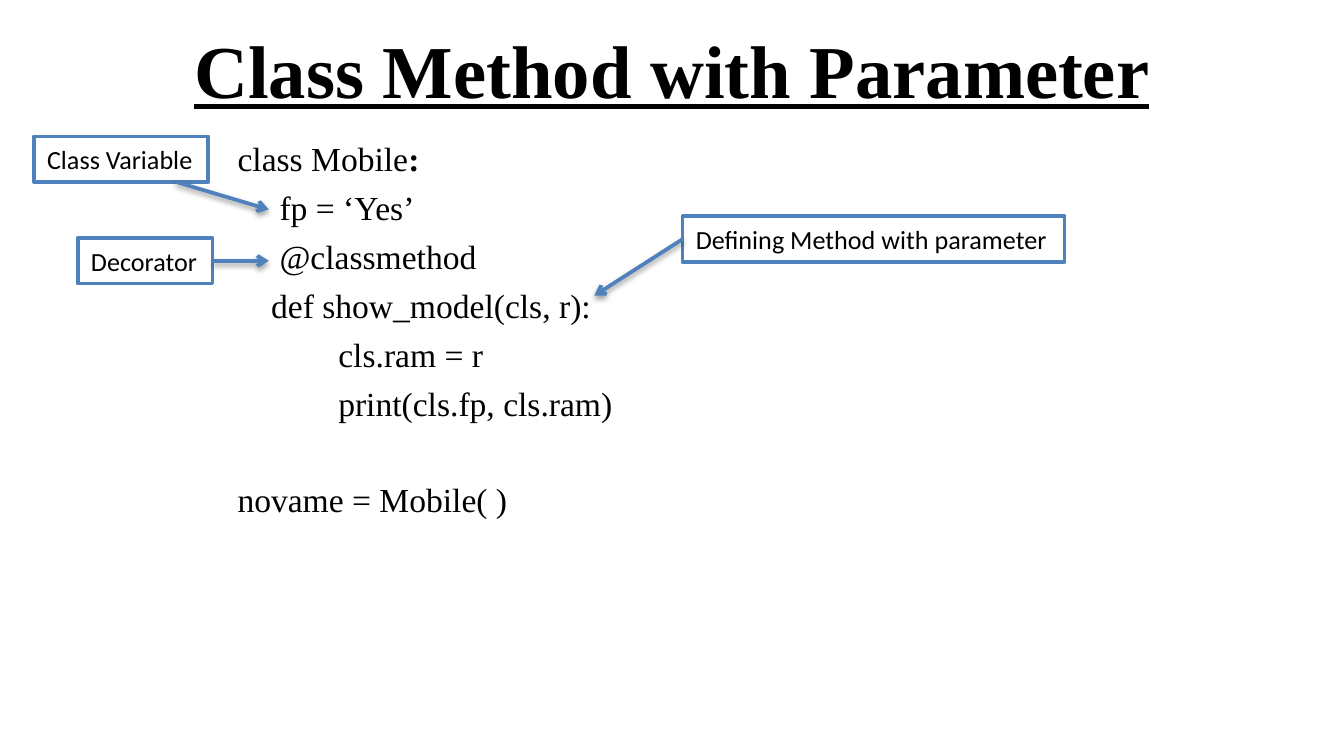
from lxml.etree import SubElement
from pptx import Presentation
from pptx.dml.color import RGBColor
from pptx.enum.shapes import MSO_CONNECTOR, MSO_SHAPE
from pptx.enum.text import MSO_ANCHOR, PP_ALIGN
from pptx.oxml import parse_xml
from pptx.oxml.ns import qn
from pptx.util import Cm, Pt

THEME = {
    "ink": RGBColor.from_string("000000"),
    "paper": RGBColor.from_string("FFFFFF"),
    "accent": RGBColor.from_string("4F81BD"),
    "line": Pt(2),
    "title": {"name": "Times New Roman", "size": Pt(40), "bold": True, "underline": True},
    "code": {"name": "Times New Roman", "size": Pt(18)},
    "label": {"name": "Calibri", "size": Pt(14)},
}
TITLE = "Class Method with Parameter"
SPACE_WIDTH = 4.5
LINE_GAP = 4.6
SECTION_GAP = 29.9
CODE = [
    (0, LINE_GAP, [("class Mobile", False), (":", True)]),
    (5, LINE_GAP, [("fp = ‘Yes’", False)]),
    (5, LINE_GAP, [("@classmethod", False)]),
    (4, LINE_GAP, [("def show_model(cls, r):", False)]),
    (12, LINE_GAP, [("cls.ram = r", False)]),
    (12, LINE_GAP, [("print(cls.fp, cls.ram)", False)]),
    (0, SECTION_GAP, [("novame = Mobile( )", False)]),
]
LABEL_HEIGHT = 0.86
LABELS = [
    {"text": "Defining Method with parameter", "at": (12.9, 4.09), "width": 7.22,
     "start": (12.9, 4.52), "end": (11.23, 5.59), "site": 1},
    {"text": "Class Variable", "at": (0.64, 2.58), "width": 3.3,
     "start": (3.33, 3.44), "end": (5.08, 3.96), "site": None},
    {"text": "Decorator", "at": (1.47, 4.5), "width": 2.55,
     "start": (4.02, 4.93), "end": (5.08, 4.93), "site": 3},
]
SHADOW = (
    '<a:effectLst xmlns:a="http://schemas.openxmlformats.org/drawingml/2006/main">'
    '<a:outerShdw blurRad="39370" dist="20320" dir="5400000" rotWithShape="0">'
    '<a:srgbClr val="000000"><a:alpha val="38000"/></a:srgbClr>'
    "</a:outerShdw></a:effectLst>"
)


def add_run(p, text, style, **extra):
    r = p.add_run()
    r.text = text
    for key, value in {**style, **extra}.items():
        setattr(r.font, key, value)
    r.font.color.rgb = THEME["ink"]


def add_text(s, left, top, width, height):
    tf = s.shapes.add_textbox(Cm(left), Cm(top), Cm(width), Cm(height)).text_frame
    tf.word_wrap = True
    return tf


def add_title(s):
    tf = add_text(s, 1.27, 0.1, 22.86, 2.39)
    tf.vertical_anchor = MSO_ANCHOR.MIDDLE
    p = tf.paragraphs[0]
    p.alignment = PP_ALIGN.CENTER
    add_run(p, TITLE, THEME["title"])


def add_code(s):
    tf = add_text(s, 4.24, 2.49, 13.13, 9.42)
    for i, (indent, gap, runs) in enumerate(CODE):
        p = tf.add_paragraph() if i else tf.paragraphs[0]
        p.space_before = Pt(gap)
        p._p.get_or_add_pPr().set("marL", str(Pt(indent * SPACE_WIDTH)))
        for text, bold in runs:
            add_run(p, text, THEME["code"], bold=bold)


def add_label(s, label):
    left, top = label["at"]
    sp = s.shapes.add_shape(MSO_SHAPE.RECTANGLE, Cm(left), Cm(top),
                            Cm(label["width"]), Cm(LABEL_HEIGHT))
    sp.shadow.inherit = False
    sp.fill.solid()
    sp.fill.fore_color.rgb = THEME["paper"]
    sp.line.color.rgb = THEME["accent"]
    sp.line.width = THEME["line"]
    tf = sp.text_frame
    tf.word_wrap = False
    p = tf.paragraphs[0]
    p.alignment = PP_ALIGN.LEFT
    add_run(p, label["text"], THEME["label"])
    return sp


def add_arrow(s, label, box):
    ends = [Cm(v) for v in label["start"] + label["end"]]
    arrow = s.shapes.add_connector(MSO_CONNECTOR.STRAIGHT, *ends)
    if label["site"] is not None:
        arrow.begin_connect(box, label["site"])
    arrow.line.color.rgb = THEME["accent"]
    arrow.line.width = THEME["line"]
    spPr = arrow._element.spPr
    SubElement(spPr.find(qn("a:ln")), qn("a:tailEnd"), type="arrow")
    spPr.append(parse_xml(SHADOW))


def main():
    prs = Presentation()
    prs.slide_width, prs.slide_height = Cm(25.4), Cm(14.29)
    s = prs.slides.add_slide(prs.slide_layouts[6])
    add_title(s)
    add_code(s)
    for label in LABELS:
        add_arrow(s, label, add_label(s, label))
    prs.save("out.pptx")


if __name__ == "__main__":
    main()
